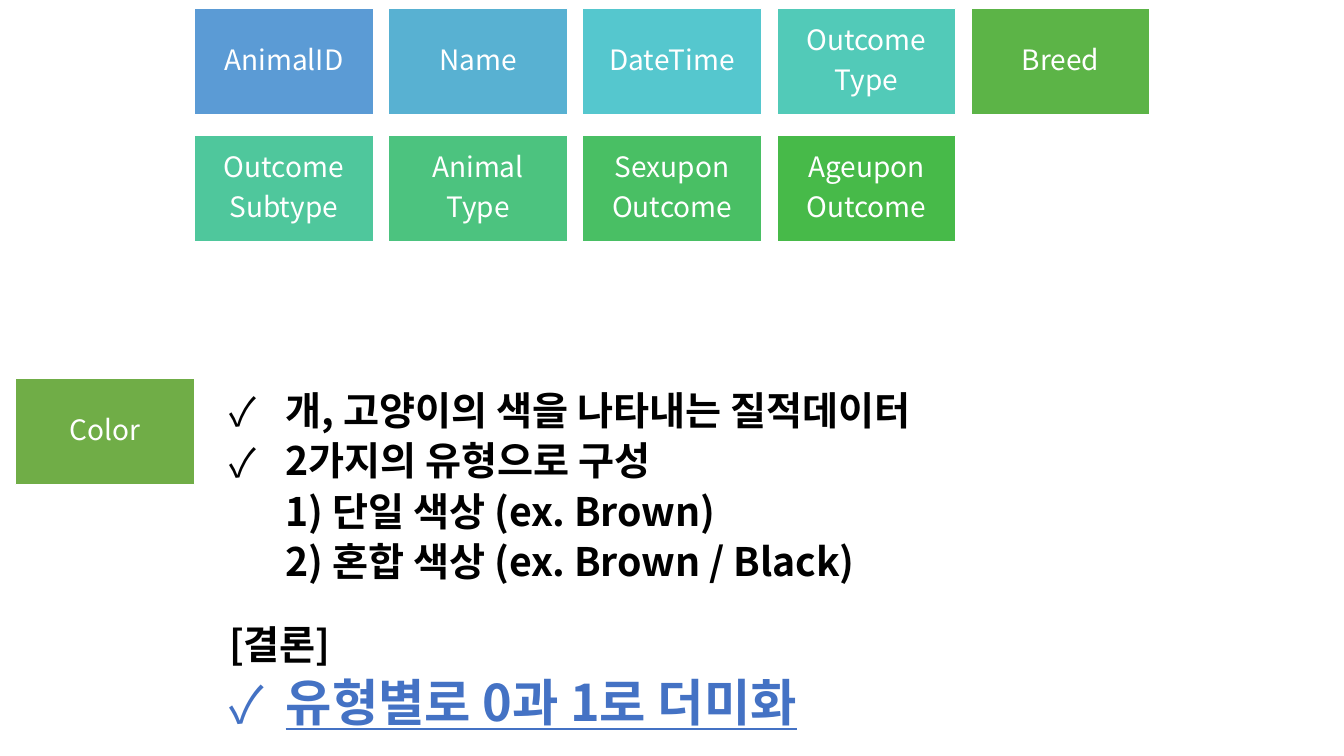
"""Build the slide on the Color column of the animal outcome data."""
from dataclasses import dataclass

from lxml import etree
from pptx import Presentation
from pptx.dml.color import RGBColor
from pptx.enum import shapes, text
from pptx.oxml import ns
from pptx.util import Pt


@dataclass(frozen=True)
class Theme:
    """Hold the colours, font and type sizes."""
    font: str = "Noto Sans CJK KR"
    white: str = "FFFFFF"
    ink: str = "000000"
    accent: str = "4472C4"
    tile: int = 20
    body: int = 28
    big: int = 36


THEME = Theme()
LEFT, TOP = 138.8, 6
STEP_X, STEP_Y = 138.7, 90.7
WIDE, HIGH = 127.8, 76.3
INDENT = 40.5

GRID = [
    [("AnimalID", "5B9BD5"), ("Name", "58B1D2"), ("DateTime", "55C7CE"),
     ("Outcome\nType", "52CAB8"), ("Breed", "5CB447")],
    [("Outcome\nSubtype", "4FC79C"), ("Animal\nType", "4CC37F"),
     ("Sexupon\nOutcome", "49BF64"), ("Ageupon\nOutcome", "47BA49")],
]

NOTES = [
    ("개, 고양이의 색을 나타내는 질적데이터", {"bullet": "✓"}),
    ("2가지의 유형으로 구성\n1) 단일 색상 (ex. Brown)\n"
     "2) 혼합 색상 (ex. Brown / Black)", {"bullet": "✓"}),
    ("[결론]", {"before": 23}),
    ("유형별로 0과 1로 더미화",
     {"bullet": "✓", "size": THEME.big, "color": THEME.accent, "under": True}),
]


def add_mark(para, mark):
    """Give a paragraph a hanging bullet."""
    props = para._p.get_or_add_pPr()
    props.set("marL", str(Pt(INDENT)))
    props.set("indent", str(-Pt(INDENT)))
    face = etree.SubElement(props, ns.qn("a:buFont"))
    face.set("typeface", THEME.font)
    etree.SubElement(props, ns.qn("a:buChar")).set("char", mark)


def write(para, words, size=THEME.body, color=THEME.ink, bold=False,
          under=None, align=None, line=1.07, before=0, after=0, bullet=None):
    """Fill a paragraph with formatted text."""
    if bullet:
        add_mark(para, bullet)
    para.text = words
    para.alignment = align
    para.line_spacing = line
    para.space_before, para.space_after = Pt(before), Pt(after)
    for run in para.runs:
        font = run.font
        font.name, font.size = THEME.font, Pt(size)
        font.bold, font.underline = bold, under
        font.color.rgb = RGBColor.from_string(color)
        east = etree.SubElement(run._r.get_or_add_rPr(), ns.qn("a:ea"))
        east.set("typeface", THEME.font)


def fill(frame, items, **style):
    """Write each item as one paragraph of a frame."""
    for i, (words, extra) in enumerate(items):
        para = frame.add_paragraph() if i else frame.paragraphs[0]
        write(para, words, **{**style, **extra})


def add_tile(slide, label, color, left, top):
    """Add a coloured tile with a centred label."""
    tile = slide.shapes.add_shape(shapes.MSO_SHAPE.RECTANGLE,
                                  Pt(left), Pt(top), Pt(WIDE), Pt(HIGH))
    tile.shadow.inherit = False
    tile.fill.solid()
    tile.fill.fore_color.rgb = RGBColor.from_string(color)
    tile.line.color.rgb = RGBColor.from_string(THEME.white)
    tile.line.width = Pt(1)
    frame = tile.text_frame
    frame.word_wrap = True
    frame.vertical_anchor = text.MSO_ANCHOR.MIDDLE
    frame.margin_left = frame.margin_right = Pt(10.8)
    frame.margin_top = frame.margin_bottom = Pt(10.8)
    fill(frame, [(part, {}) for part in label.split("\n")],
         size=THEME.tile, color=THEME.white, line=0.9, after=7,
         align=text.PP_ALIGN.CENTER)


def add_notes(slide, items, left, top, width, height):
    """Add the box of notes beside the Color tile."""
    box = slide.shapes.add_textbox(Pt(left), Pt(top), Pt(width), Pt(height))
    frame = box.text_frame
    frame.word_wrap = False
    frame.auto_size = text.MSO_AUTO_SIZE.SHAPE_TO_FIT_TEXT
    fill(frame, items, bold=True)


def main():
    """Build and save the deck."""
    deck = Presentation()
    deck.slide_width, deck.slide_height = Pt(960), Pt(540)
    slide = deck.slides.add_slide(deck.slide_layouts[6])
    for row, tiles in enumerate(GRID):
        for col, (label, color) in enumerate(tiles):
            add_tile(slide, label, color,
                     LEFT + col * STEP_X, TOP + row * STEP_Y)
    add_tile(slide, "Color", "70AD47", 11, 270)
    add_notes(slide, NOTES, 156.5, 270, 527, 258.5)
    deck.save("out.pptx")


if __name__ == "__main__":
    main()
